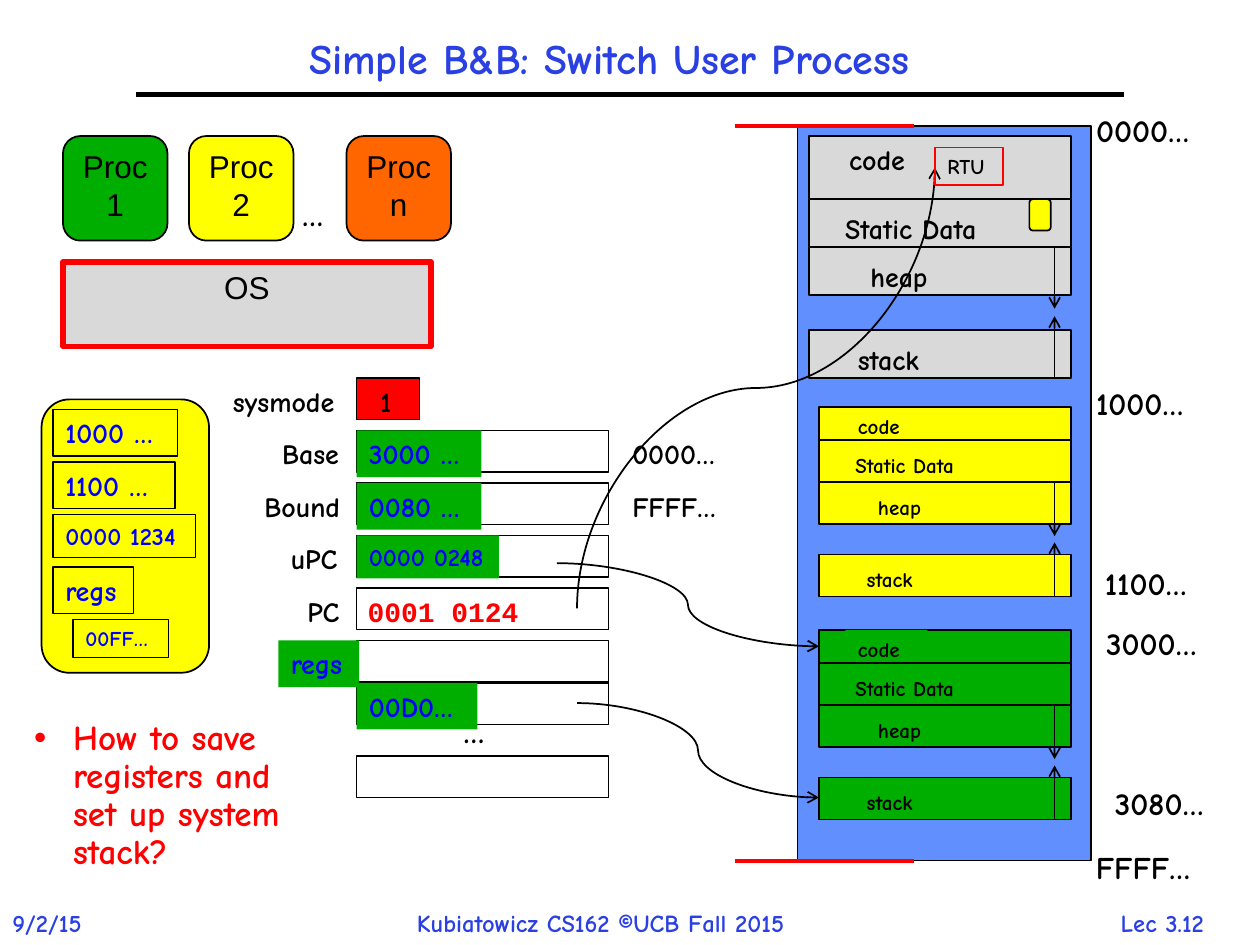
from pptx import Presentation
from pptx.dml.color import RGBColor
from pptx.enum.shapes import MSO_CONNECTOR, MSO_SHAPE
from pptx.enum.text import MSO_ANCHOR, MSO_AUTO_SIZE, PP_ALIGN
from pptx.oxml.ns import qn
from pptx.util import Inches, Pt
from lxml import etree

RECT, ROUND = MSO_SHAPE.RECTANGLE, MSO_SHAPE.ROUNDED_RECTANGLE
STRAIGHT, CURVE = MSO_CONNECTOR.STRAIGHT, MSO_CONNECTOR.CURVE
TOP, MIDDLE = MSO_ANCHOR.TOP, MSO_ANCHOR.MIDDLE
CENTER, LEFT = PP_ALIGN.CENTER, PP_ALIGN.LEFT
GROW, FIXED = MSO_AUTO_SIZE.SHAPE_TO_FIT_TEXT, MSO_AUTO_SIZE.NONE

BLACK, RED, GREEN, YELLOW = "000000", "FF0000", "00AE00", "FFFF00"
ORANGE, GRAY, SKY, BLUE, NAVY = "FF6600", "D9D9D9", "618FFD", "0000FF", "2A40E2"
ROW_STEP = 5 / 12


def rgb(value):
    return RGBColor.from_string(value)


class Slide:
    """Keeps the style and the page that is being drawn."""
    font = "Comic Neue"

    def __init__(self, page):
        self.page = page
        self.shapes = page.shapes

    def style(self, para, size, color, font=None, bold=True, align=LEFT):
        para.alignment = align
        para.font.name = font or self.font
        para.font.size = Pt(size)
        para.font.bold = bold
        para.font.color.rgb = rgb(color)

    def paint(self, shape, fill, line, width):
        if fill:
            shape.fill.solid()
            shape.fill.fore_color.rgb = rgb(fill)
        else:
            shape.fill.background()
        if line:
            shape.line.color.rgb = rgb(line)
            shape.line.width = Pt(width)
        else:
            shape.line.fill.background()

    def box(self, x, y, w, h, fill=None, line=BLACK, width=1, kind=RECT, text=None):
        shape = self.shapes.add_shape(kind, Inches(x), Inches(y), Inches(w), Inches(h))
        shape.shadow.inherit = False
        self.paint(shape, fill, line, width)
        if text:
            shape.text_frame.vertical_anchor = TOP
            para = shape.text_frame.paragraphs[0]
            para.text = text
            self.style(para, 18, BLACK, "Arial", False, CENTER)

    def label(self, text, x, y, w, h=0.37, size=16, color=BLACK, fill=None,
              line=None, font=None, align=LEFT):
        box = self.shapes.add_textbox(Inches(x), Inches(y), Inches(w), Inches(h))
        self.paint(box, fill, line, 0.75)
        box.text_frame.word_wrap = False
        box.text_frame.auto_size = GROW
        para = box.text_frame.paragraphs[0]
        para.text = text
        self.style(para, size, color, font, align=align)

    def line(self, start, end, color=BLACK, width=1, arrow=False, kind=STRAIGHT):
        link = self.shapes.add_connector(kind, *map(Inches, start + end))
        link.line.color.rgb = rgb(color)
        link.line.width = Pt(width)
        properties = link._element.spPr
        if arrow:
            etree.SubElement(properties.find(qn("a:ln")), qn("a:tailEnd"), type="arrow")
        etree.SubElement(properties, qn("a:effectLst"))
        return link

    def upright_curve(self, start, end):
        """Arrow that leaves and arrives vertically: a curve turned by 90 degrees."""
        mid_x, mid_y = (start[0] + end[0]) / 2, (start[1] + end[1]) / 2
        turned = [(mid_x + y - mid_y, mid_y - x + mid_x) for x, y in (start, end)]
        link = self.line(*turned, arrow=True, kind=CURVE)
        link._element.spPr.find(qn("a:xfrm")).set("rot", "5400000")

    def placeholder(self, holder, text, x, y, w, h, size, color, align=LEFT):
        holder.left, holder.top = Inches(x), Inches(y)
        holder.width, holder.height = Inches(w), Inches(h)
        frame = holder.text_frame
        frame.text = text
        frame.auto_size = FIXED
        para = frame.paragraphs[0]
        para.line_spacing = 0.9
        self.style(para, size, color, align=align)
        return frame

    def memory(self, x, y, w, fill, code_h, row_h, gap, reach, size, labels, filled=()):
        """Address space: code, static data and heap, then stack after a gap."""
        heap = y + code_h + row_h
        stack = heap + row_h + gap
        tops = (y, y + code_h, heap, stack)
        for top, (text, indent, width) in zip(tops, labels):
            is_code = text == "code"
            self.box(x, top, w, code_h if is_code else row_h, fill)
            self.label(text, x + indent, top + (0 if is_code else 0.05), width, 0.3,
                       size, fill=fill if text in filled else None)
        foot = stack + row_h
        self.line((8.37, foot), (8.37, foot - reach), arrow=True)
        self.line((8.37, heap), (8.37, heap + reach), arrow=True)


def main():
    deck = Presentation()
    deck.slide_width, deck.slide_height = Inches(10), Inches(7.5)
    page = deck.slides.add_slide(deck.slide_layouts[1])
    slide = Slide(page)

    # Title, rule and footer
    title = slide.placeholder(page.shapes.title, "Simple B&B: Switch User Process",
                              0.5, 0.08, 8.67, 0.81, 24, NAVY, CENTER)
    title.vertical_anchor = MIDDLE
    slide.line((1.08, 0.75), (8.92, 0.75), width=3)
    slide.label("9/2/15", 0, 7.16, 0.88, 0.34, 14, NAVY)
    slide.label("Kubiatowicz CS162 ©UCB Fall 2015", 3.21, 7.16, 3.61, 0.34, 14, NAVY)
    slide.label("Lec 3.12", 8.62, 7.16, 1.21, 0.34, 14, NAVY, align=CENTER)

    # Processes above the OS
    slide.box(0.5, 2.08, 2.92, 0.67, GRAY, RED, 3, text="OS")
    for text, x, fill in (("Proc 1", 0.5, GREEN), ("Proc 2", 1.5, YELLOW),
                          ("Proc n", 2.75, ORANGE)):
        slide.box(x, 1.08, 0.83, 0.83, fill, kind=ROUND, text=text)
    slide.label("…", 2.3, 1.5, 0.45, 0.4, 18)

    # Physical memory with the OS and two processes
    slide.box(6.33, 1, 2.33, 5.83, SKY)
    slide.memory(6.42, 1.08, 2.08, GRAY, 0.5, 0.38, 0.28, 0.49, 16,
                 (("code", 0.22, 0.78), ("Static Data", 0.19, 1.48),
                  ("heap", 0.39, 0.8), ("stack", 0.29, 0.84)))
    small_labels = (("code", 0.21, 0.65), ("Static Data", 0.19, 1.17),
                    ("heap", 0.37, 0.66), ("stack", 0.28, 0.68))
    for y, fill, filled in ((3.23, YELLOW, ("Static Data",)),
                            (5, GREEN, ("code", "Static Data"))):
        slide.memory(6.5, y, 2, fill, 0.26, 0.335, 0.24, 0.43, 12, small_labels, filled)

    # Memory addresses and limits
    for text, x, y, w in (("0000…", 8.6, 0.83, 1.02), ("FFFF…", 8.6, 6.68, 1.07),
                          ("1000…", 8.6, 3, 1.02), ("1100…", 8.67, 4.43, 1),
                          ("3000…", 8.68, 4.9, 1.02), ("3080…", 8.75, 6.17, 1.02)):
        slide.label(text, x, y, w, 0.4, 18)
    for y in (1, 6.83):
        slide.line((5.83, y), (7.25, y), RED, 2.25)

    # Processor registers
    rows = [3 + ROW_STEP * i for i in range(6)]
    sysmode, base, bound, upc, pc, regs = rows
    slide.box(2.83, sysmode, 0.5, 0.33, RED)
    slide.label("1", 2.92, sysmode, 0.33)
    for y in (base, bound, upc, pc, regs, 5.42, 6):
        slide.box(2.83, y, 2, 0.33)
    for text, x, y, w, size in (("3000 …", 2.83, base, 0.99, 16),
                                ("0080 …", 2.83, bound, 0.99, 16),
                                ("0000 0248", 2.83, upc, 1.13, 14),
                                ("regs", 2.21, regs, 0.64, 16),
                                ("00D0…", 2.83, 5.42, 0.96, 16)):
        slide.label(text, x, y, w, size=size, color=BLUE, fill=GREEN,
                    h=0.34 if size == 14 else 0.37)
    slide.label("0001 0124", 2.82, pc, 1.41, color=RED, font="Courier New")
    names = (("sysmode", 1.1), ("Base", 0.71), ("Bound", 0.85), ("uPC", 0.64), ("PC", 0.51))
    for (text, w), y in zip(names, rows):
        slide.label(text, 2.85 - w, y, w)
    slide.label("0000…", 4.92, base, 0.93)
    slide.label("FFFF…", 4.92, bound, 0.97)
    slide.label("…", 3.58, 5.6, 0.45, 0.4, 18)

    # Saved state of process 2
    slide.box(0.33, 3.17, 1.33, 2.17, YELLOW, kind=ROUND)
    saved = (("1000 …", 0.42, 0.99, 0.37, 16), ("1100 …", 0.42, 0.97, 0.37, 16),
             ("0000 1234", 0.42, 1.13, 0.34, 14), ("regs", 0.42, 0.64, 0.37, 16),
             ("00FF…", 0.58, 0.76, 0.3, 12))
    for i, (text, x, w, h, size) in enumerate(saved):
        slide.label(text, x, 3.25 + ROW_STEP * i, w, h, size, BLUE, YELLOW, BLACK)

    # Pointers from registers into memory
    slide.upright_curve((4.58, 4.83), (7.42, 1.33))
    slide.line((4.58, 5.58), (6.5, 6.33), arrow=True, kind=CURVE)
    slide.line((4.42, 4.47), (6.5, 5.13), arrow=True, kind=CURVE)
    slide.label("RTU", 7.42, 1.17, 0.54, 0.3, 12, line=RED)
    slide.box(8.17, 1.58, 0.17, 0.25, YELLOW, kind=ROUND)

    # Question
    body = slide.placeholder(page.placeholders[1],
                             "How to save registers and set up system stack?",
                             0.17, 5.67, 2.5, 1.42, 20, RED)
    para = body.paragraphs[0]
    para.space_before = Pt(6)
    properties = para._p.get_or_add_pPr()
    properties.set("marL", str(Inches(0.31)))
    properties.set("indent", str(Inches(-0.31)))
    bullet = etree.Element(qn("a:buChar"), char="•")
    properties.find(qn("a:defRPr")).addprevious(bullet)

    deck.save("out.pptx")


if __name__ == "__main__":
    main()
